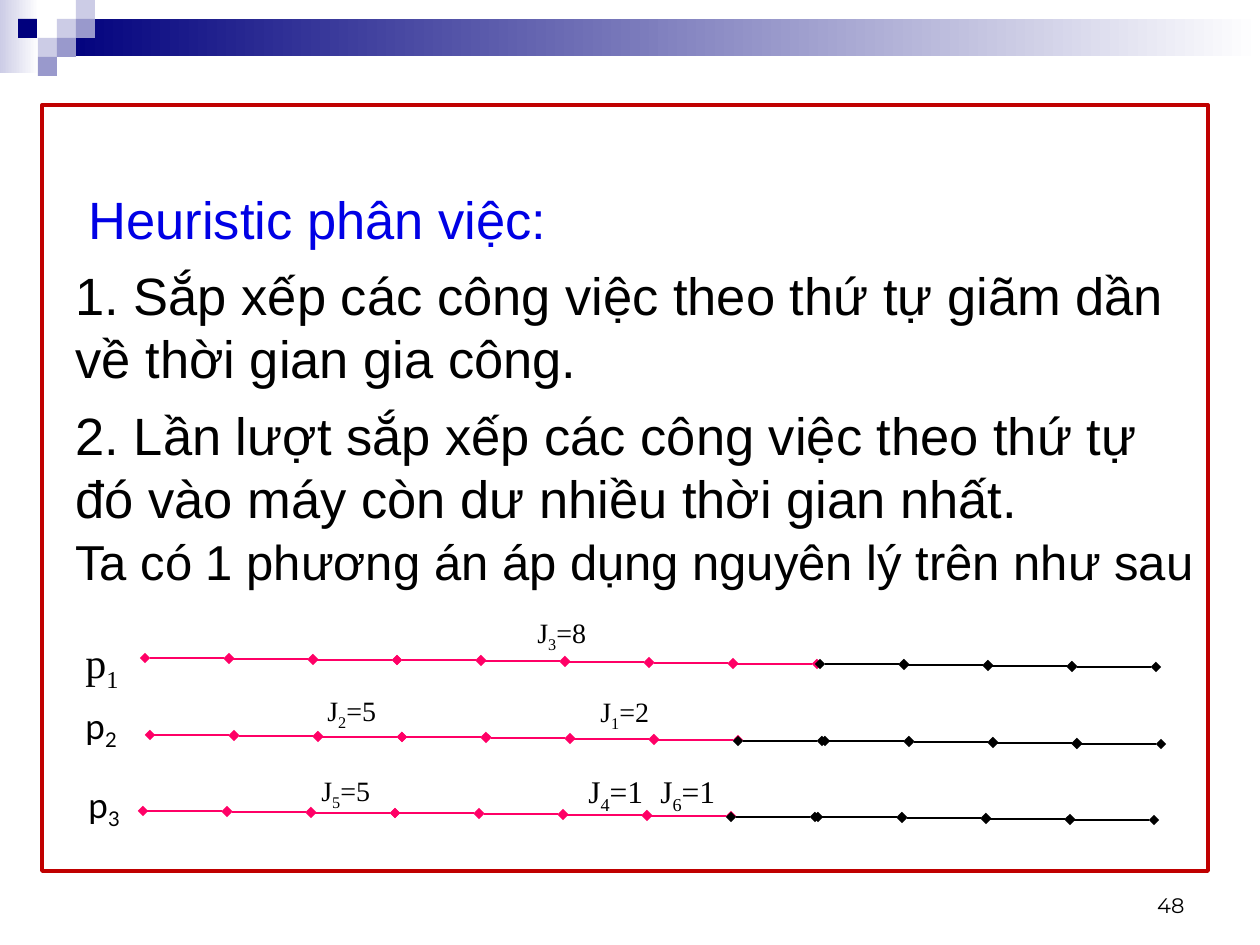
from lxml import etree
from pptx import Presentation, util as u
from pptx.dml.color import RGBColor
from pptx.enum import shapes, text
from pptx.oxml import ns

SCALE = 914400 / 126  # EMU in one px
BLACK = RGBColor(0, 0, 0)
WHITE = RGBColor(255, 255, 255)
NAVY = RGBColor(0, 0, 0x7D)
PALE = RGBColor(0xCC, 0xCC, 0xE6)
LILAC = RGBColor(0x99, 0x99, 0xCC)
BLUE = RGBColor(0, 0, 0xE5)
PINK = RGBColor(0xFF, 0, 0x66)
RED = RGBColor(0xC0, 0, 0)
SERIF = "Times New Roman"


def px(n):
    return u.Emu(round(n * SCALE))


def write(par, words, size=18, font="Arial", color=BLACK, sub=False):
    """Add one formatted run to a paragraph."""
    run = par.add_run()
    run.text = words
    run.font.size = u.Pt(size)
    run.font.name = font
    run.font.color.rgb = color
    if sub:
        run._r.get_or_add_rPr().set("baseline", "-25000")


class Deck:
    def __init__(self):
        self.prs = Presentation()
        self.prs.slide_width, self.prs.slide_height = px(1260), px(945)
        self.slide = self.prs.slides.add_slide(self.prs.slide_layouts[1])
        title = self.slide.shapes.title
        title._element.getparent().remove(title._element)

    def rect(self, x, y, w, h, fill=None, fade=False, line=None):
        box = self.slide.shapes.add_shape(
            shapes.MSO_SHAPE.RECTANGLE, px(x), px(y), px(w), px(h))
        box.shadow.inherit = False
        if fade:
            box.fill.gradient()
            box.fill.gradient_angle = 0
            for stop, color, pos in zip(box.fill.gradient_stops, (fill, WHITE), (0, 1)):
                stop.color.rgb, stop.position = color, pos
        elif fill is not None:
            box.fill.solid()
            box.fill.fore_color.rgb = fill
        else:
            box.fill.background()
        if line is None:
            box.line.fill.background()
        else:
            box.line.color.rgb, box.line.width = line, u.Pt(2.25)

    def body(self, x, y, w, h, items):
        hold = self.slide.placeholders[1]
        hold.left, hold.top, hold.width, hold.height = map(px, (x, y, w, h))
        frame = hold.text_frame
        frame.auto_size = text.MSO_AUTO_SIZE.NONE
        for i, (words, color, indent) in enumerate(items):
            par = frame.add_paragraph() if i else frame.paragraphs[0]
            props = par._p.get_or_add_pPr()
            props.set("marL", "0")
            props.set("indent", str(px(indent)))
            etree.SubElement(props, ns.qn("a:buNone"))
            par.space_before = u.Pt(7.5 if i else 0)
            write(par, words, size=30, color=color)

    def label(self, x, y, w, h, *runs, align=text.PP_ALIGN.LEFT,
              anchor=text.MSO_ANCHOR.TOP, **style):
        frame = self.slide.shapes.add_textbox(px(x), px(y), px(w), px(h)).text_frame
        frame.word_wrap = True
        frame.vertical_anchor = anchor
        par = frame.paragraphs[0]
        par.alignment = align
        for i, words in enumerate(runs):
            write(par, words, sub=i == 1, **style)  # second run is the index

    def link(self, x, y, w, color):
        line = self.slide.shapes.add_connector(
            shapes.MSO_CONNECTOR.STRAIGHT, px(x), px(y), px(x + w), px(y))
        line.line.color.rgb, line.line.width = color, u.Pt(0.75)
        for end in ("a:headEnd", "a:tailEnd"):
            etree.SubElement(line.line._get_or_add_ln(), ns.qn(end), type="diamond")
        etree.SubElement(line._element.spPr, ns.qn("a:effectLst"))


def main():
    deck = Deck()

    # Header band and squares
    deck.rect(0, 0, 39, 73, PALE, fade=True)
    deck.rect(57, 19, 1203, 37, NAVY, fade=True)
    for x, y, color in ((57, 19, PALE), (76, 0, PALE), (76, 19, LILAC), (38, 38, PALE),
                        (18, 19, NAVY), (57, 38, LILAC), (38, 57, LILAC)):
        deck.rect(x, y, 19, 19, color)

    # Heuristic rules
    deck.body(63, 181, 1134, 354, (
        ("Heuristic phân việc:", BLUE, 13),
        ("1. Sắp xếp các công việc theo thứ tự giãm dần về thời gian gia công.", BLACK, 0),
        ("2. Lần lượt sắp xếp các công việc theo thứ tự đó vào máy còn dư nhiều "
         "thời gian nhất.", BLACK, 0)))
    deck.label(63, 525, 1187, 73,
               "Ta có 1 phương án áp dụng nguyên lý trên như sau", size=28)

    # Time lines: twelve units each, busy ones pink, a small gap after eight
    step, gap, drop = 84, 3, 0.8
    for left, top, busy in ((145, 658, 8), (150, 735, 7), (143, 811, 7)):
        for i in range(12):
            deck.link(left + step * i + gap * (i >= 8), top + round(drop * i), step,
                      PINK if i < busy else BLACK)

    # Machine names
    for x, y, w, num, size, font in ((73, 630, 63, "1", 24, SERIF),
                                     (73, 698, 63, "2", 20, "Lato"),
                                     (76, 777, 84, "3", 20, "Lato")):
        deck.label(x, y, w, 60, "p", num, size=size, font=font)

    # Job lengths
    for x, y, num, time, size in ((525, 609, 3, 8, 16), (315, 687, 2, 5, 16),
                                  (588, 688, 1, 2, 16), (309, 767, 5, 5, 16),
                                  (576, 766, 4, 1, 18), (648, 766, 6, 1, 18)):
        deck.label(x, y, 90, 52, "J", str(num), f"={time}", size=size, font=SERIF)

    # Frame and page number
    deck.rect(42, 105, 1166, 766, line=RED)
    deck.label(903, 861, 294, 63, "48", size=12, font="Montserrat",
               align=text.PP_ALIGN.RIGHT, anchor=text.MSO_ANCHOR.BOTTOM)

    deck.prs.save("out.pptx")


if __name__ == "__main__":
    main()
